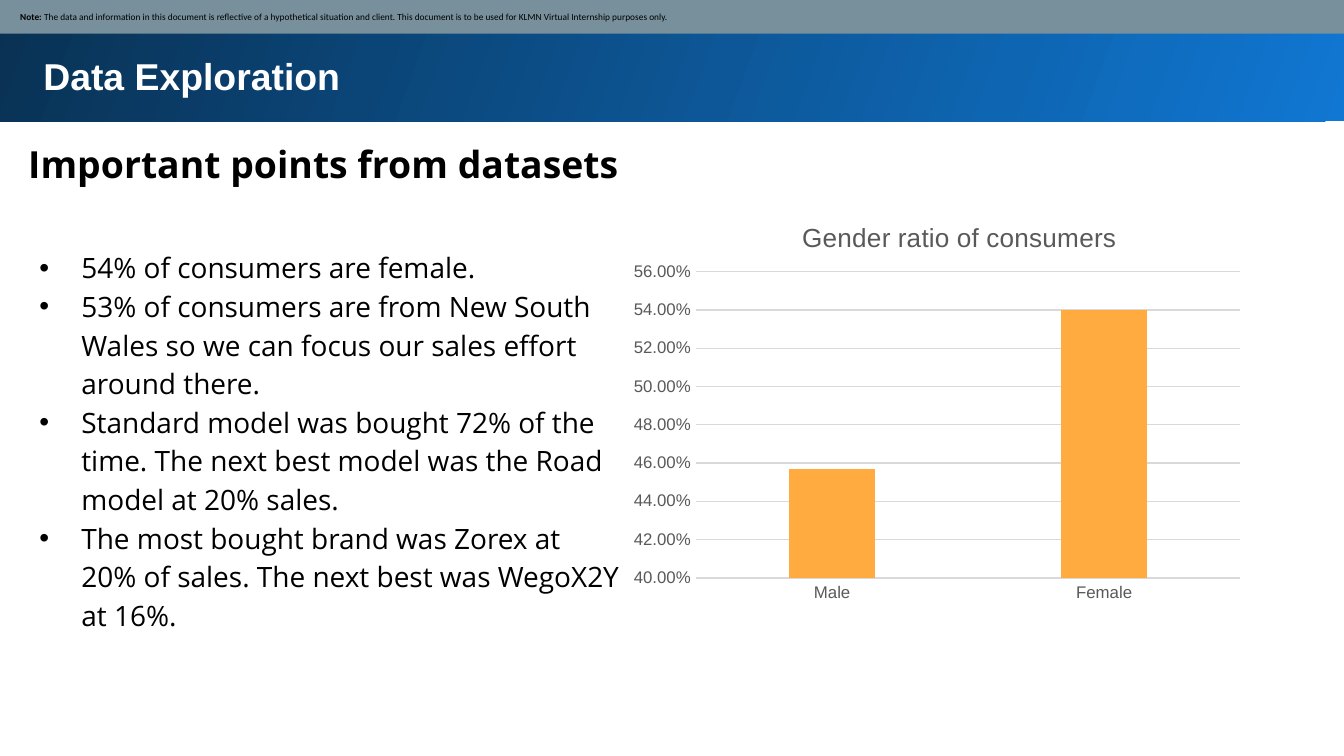
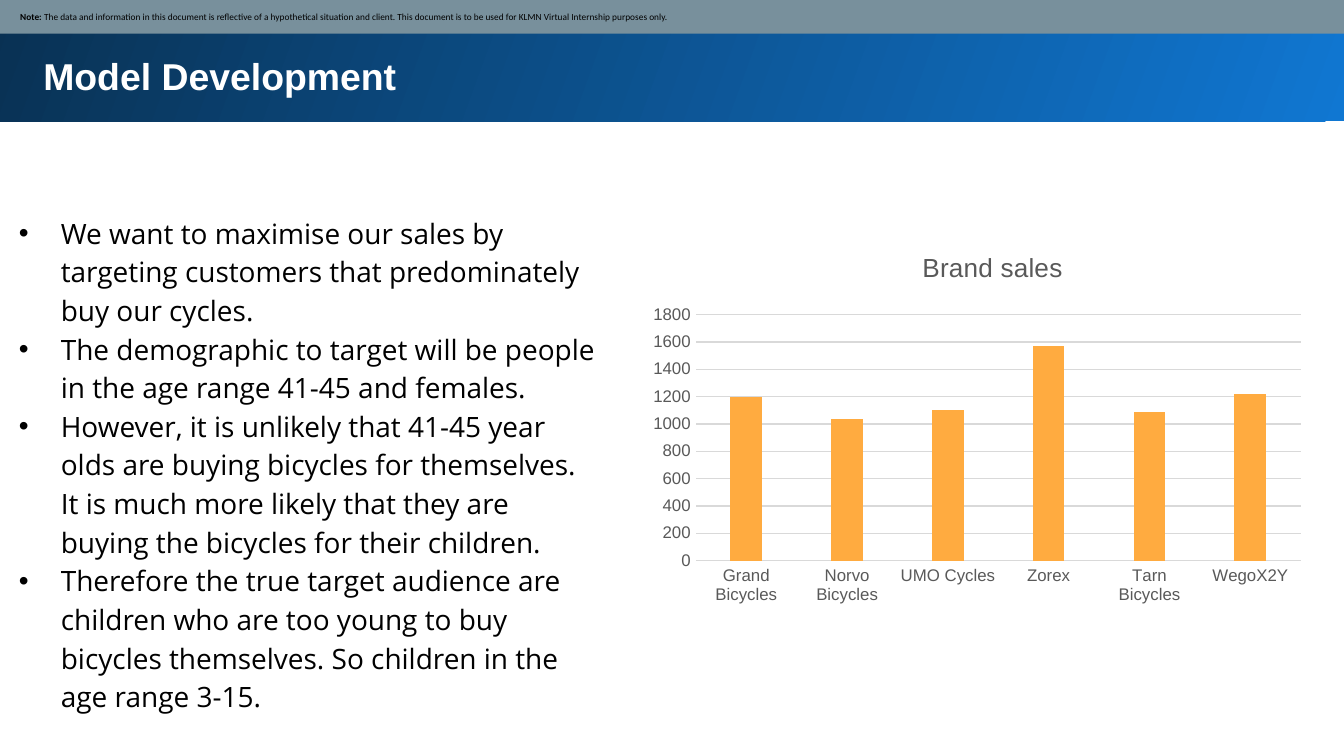
"""Build two slides of a cycle sales review: data exploration and model development."""
from dataclasses import dataclass
from typing import Optional

from lxml.etree import SubElement
from pptx import Presentation
from pptx.chart.data import CategoryChartData
from pptx.dml.color import RGBColor
from pptx.enum.chart import XL_CHART_TYPE as ChartType, XL_TICK_MARK as TickMark
from pptx.enum.shapes import MSO_SHAPE as Preset
from pptx.enum.text import MSO_ANCHOR as Anchor, MSO_AUTO_SIZE as AutoSize, PP_ALIGN as Align
from pptx.oxml import parse_xml
from pptx.oxml.ns import nsdecls, qn
from pptx.util import Pt


@dataclass(frozen=True)
class Theme:
    """Colours, fonts and type sizes of the presentation."""
    black: str = "000000"
    white: str = "FFFFFF"
    band_light: str = "1077D2"
    band_dark: str = "093153"
    note_fill: str = "78909C"
    bar: str = "FFAB40"
    grid: str = "D9D9D9"
    label: str = "595959"
    title_font: str = "Arial"
    body_font: str = "Open Sans"
    note_font: str = "Calibri"
    title_size: float = 20
    body_size: float = 15
    chart_title_size: float = 14
    chart_size: float = 10
    axis_size: float = 9
    note_size: float = 5


@dataclass(frozen=True)
class Box:
    """A rectangle in points."""
    left: float
    top: float
    width: float
    height: float

    def lengths(self) -> tuple:
        """Return the four lengths for a shape call."""
        return Pt(self.left), Pt(self.top), Pt(self.width), Pt(self.height)


@dataclass(frozen=True)
class Scale:
    """Limits, step and number format of a value axis."""
    minimum: float
    maximum: float
    step: float
    number_format: str


@dataclass(frozen=True)
class ColumnChart:
    """A column chart with its places given as fractions of its frame."""
    title: str
    box: Box
    values: dict
    scale: Scale
    title_place: tuple
    plot_place: tuple


@dataclass(frozen=True)
class Page:
    """The content of one slide."""
    title: str
    bullets: tuple
    bullets_box: Box
    chart: ColumnChart
    heading: Optional[str] = None


THEME = Theme()
SLIDE_WIDTH, SLIDE_HEIGHT = 720, 405
BAND = Box(-1.5, -1.5, 723.5, 66.5)
TITLE = Box(16, 21, 675, 36.5)
HEADING = Box(8, 65, 675, 40)
NOTE = Box(-0.5, -0.5, 722, 18.5)
INSET = 7.2
NOTE_INSET = 3.6
NOTE_INDENT = 11.3
BULLET_INDENT = 22.5
LINE_SPACING = 1.15
NOTE_TEXT = ("The data and information in this document is reflective of a hypothetical situation "
             "and client. This document is to be used for KLMN Virtual Internship purposes only.")

PAGES = (
    Page(
        title="Data Exploration",
        heading="Important points from datasets",
        bullets=(
            "54% of consumers are female.",
            "53% of consumers are from New South Wales so we can focus our sales effort around there.",
            "Standard model was bought 72% of the time. The next best model was the Road model at "
            "20% sales.",
            "The most bought brand was Zorex at 20% of sales. The next best was WegoX2Y at 16%.",
        ),
        bullets_box=Box(14, 124.5, 325.5, 222),
        chart=ColumnChart(
            title="Gender ratio of consumers",
            box=Box(339, 104.5, 339, 228),
            values={"Male": 0.457, "Female": 0.54},
            scale=Scale(0.4, 0.56, 0.02, "0.00%"),
            title_place=(0.26, 0.05),
            plot_place=(0.1, 0.18, 0.86, 0.72),
        ),
    ),
    Page(
        title="Model Development",
        bullets=(
            "We want to maximise our sales by targeting customers that predominately buy our cycles.",
            "The demographic to target will be people in the age range 41-45 and females.",
            "However, it is unlikely that 41-45 year olds are buying bicycles for themselves. It is "
            "much more likely that they are buying the bicycles for their children.",
            "Therefore the true target audience are children who are too young to buy bicycles "
            "themselves. So children in the age range 3-15.",
        ),
        bullets_box=Box(3, 106, 325.5, 305),
        chart=ColumnChart(
            title="Brand sales",
            box=Box(344, 112.5, 360, 216),
            values={"Grand Bicycles": 1200, "Norvo Bicycles": 1040, "UMO Cycles": 1100,
                    "Zorex": 1570, "Tarn Bicycles": 1090, "WegoX2Y": 1220},
            scale=Scale(0, 1800, 200, "General"),
            title_place=(0.41, 0.09),
            plot_place=(0.08, 0.26, 0.9, 0.61),
        ),
    ),
)


def rgb(color: str) -> RGBColor:
    """Turn a hexadecimal string into a colour."""
    return RGBColor.from_string(color)


def format_font(font, *, size: float, name: str, color: str, bold: bool = False) -> None:
    """Set the look of a font."""
    font.size, font.name, font.bold = Pt(size), name, bold
    font.color.rgb = rgb(color)


def write(paragraph, text: str, *, size: float, name: str, color: str = THEME.black,
          bold: bool = False, spacing: Optional[float] = None, bullet: bool = False) -> None:
    """Add a formatted run to a paragraph."""
    run = paragraph.add_run()
    run.text = text
    format_font(run.font, size=size, name=name, color=color, bold=bold)
    if spacing:
        paragraph.line_spacing = spacing
    if bullet:
        properties = paragraph._p.get_or_add_pPr()
        properties.set("marL", str(Pt(BULLET_INDENT)))
        properties.set("indent", str(-Pt(BULLET_INDENT)))
        SubElement(properties, qn("a:buFont")).set("typeface", THEME.title_font)
        SubElement(properties, qn("a:buChar")).set("char", "•")


def prepare_frame(shape, inset: float = INSET, anchor: Anchor = Anchor.TOP):
    """Set wrapping, insets and anchor, and return the text frame."""
    frame = shape.text_frame
    frame.word_wrap = True
    frame.auto_size = AutoSize.NONE
    frame.vertical_anchor = anchor
    frame.margin_left = frame.margin_right = Pt(inset)
    frame.margin_top = frame.margin_bottom = Pt(inset)
    return frame


def add_rectangle(slide, box: Box):
    """Add a rectangle without line or shadow."""
    shape = slide.shapes.add_shape(Preset.RECTANGLE, *box.lengths())
    shape.shadow.inherit = False
    shape.line.fill.background()
    return shape


def add_title_band(slide, text: str) -> None:
    """Draw the gradient band with the slide title on it."""
    band = add_rectangle(slide, BAND)
    band.fill.gradient()
    band.fill.gradient_angle = 160
    for stop, color in zip(band.fill.gradient_stops, (THEME.band_light, THEME.band_dark)):
        stop.color.rgb = rgb(color)
    title = slide.shapes.title
    title.left, title.top, title.width, title.height = TITLE.lengths()
    paragraph = prepare_frame(title).paragraphs[0]
    paragraph.alignment = Align.LEFT
    write(paragraph, text, size=THEME.title_size, name=THEME.title_font,
          color=THEME.white, bold=True)
    band.element.addnext(title.element)


def add_note(slide) -> None:
    """Draw the disclaimer strip at the top."""
    strip = add_rectangle(slide, NOTE)
    strip.fill.solid()
    strip.fill.fore_color.rgb = rgb(THEME.note_fill)
    frame = prepare_frame(strip, NOTE_INSET, Anchor.MIDDLE)
    frame.margin_left = Pt(NOTE_INDENT)
    paragraph = frame.paragraphs[0]
    paragraph.alignment = Align.LEFT
    for text, bold in (("Note: ", True), (NOTE_TEXT, False)):
        write(paragraph, text, size=THEME.note_size, name=THEME.note_font, bold=bold)


def add_text(slide, box: Box, lines: tuple, **style) -> None:
    """Add a text box with one paragraph for each line."""
    frame = prepare_frame(slide.shapes.add_textbox(*box.lengths()))
    for index, line in enumerate(lines):
        paragraph = frame.add_paragraph() if index else frame.paragraphs[0]
        write(paragraph, line, name=THEME.body_font, spacing=LINE_SPACING, **style)


def place(element, fractions: tuple, inner: bool = False) -> None:
    """Give a chart part a manual layout."""
    target = '<c:layoutTarget val="inner"/>' if inner else ""
    modes = '<c:xMode val="edge"/><c:yMode val="edge"/>'
    sizes = "".join(f'<c:{key} val="{value}"/>' for key, value in zip("xywh", fractions))
    layout = parse_xml(f'<c:layout {nsdecls("c")}><c:manualLayout>{target}{modes}{sizes}'
                       '</c:manualLayout></c:layout>')
    existing = element.find(qn("c:layout"))
    if existing is None:
        element.insert(0, layout)
    else:
        element.replace(existing, layout)


def add_column_chart(slide, content: ColumnChart) -> None:
    """Add a formatted column chart."""
    data = CategoryChartData(number_format=content.scale.number_format)
    data.categories = list(content.values)
    data.add_series("Series 1", list(content.values.values()))
    chart = slide.shapes.add_chart(ChartType.COLUMN_CLUSTERED, *content.box.lengths(), data).chart
    format_font(chart.font, size=THEME.chart_size, name=THEME.title_font, color=THEME.black)
    chart.has_legend = False
    chart.has_title = True
    write(chart.chart_title.text_frame.paragraphs[0], content.title,
          size=THEME.chart_title_size, name=THEME.title_font, color=THEME.label)
    place(chart.chart_title.element, content.title_place)
    place(chart.element.find(qn("c:chart")).find(qn("c:plotArea")), content.plot_place, inner=True)

    plot = chart.plots[0]
    plot.vary_by_categories = False
    plot.gap_width, plot.overlap = 219, -27
    fill = plot.series[0].format.fill
    fill.solid()
    fill.fore_color.rgb = rgb(THEME.bar)

    categories, values = chart.category_axis, chart.value_axis
    for axis in (categories, values):
        axis.major_tick_mark = axis.minor_tick_mark = TickMark.NONE
        format_font(axis.tick_labels.font, size=THEME.axis_size, name=THEME.title_font,
                    color=THEME.label)
    values.has_major_gridlines = True
    for line in (categories.format.line, values.major_gridlines.format.line):
        line.width = Pt(0.75)
        line.color.rgb = rgb(THEME.grid)
    values.format.line.fill.background()
    values.minimum_scale, values.maximum_scale = content.scale.minimum, content.scale.maximum
    values.major_unit = content.scale.step
    values.tick_labels.number_format = content.scale.number_format
    values.tick_labels.number_format_is_linked = False


def add_page(presentation, page: Page) -> None:
    """Add one slide with its shared parts and content."""
    slide = presentation.slides.add_slide(presentation.slide_layouts.get_by_name("Title Only"))
    add_title_band(slide, page.title)
    if page.heading:
        add_text(slide, HEADING, (page.heading,), size=THEME.title_size, bold=True)
    add_text(slide, page.bullets_box, page.bullets, size=THEME.body_size, bullet=True)
    add_note(slide)
    add_column_chart(slide, page.chart)


def main() -> None:
    """Build and save the presentation."""
    presentation = Presentation()
    presentation.slide_width, presentation.slide_height = Pt(SLIDE_WIDTH), Pt(SLIDE_HEIGHT)
    for page in PAGES:
        add_page(presentation, page)
    presentation.save("out.pptx")


main()
